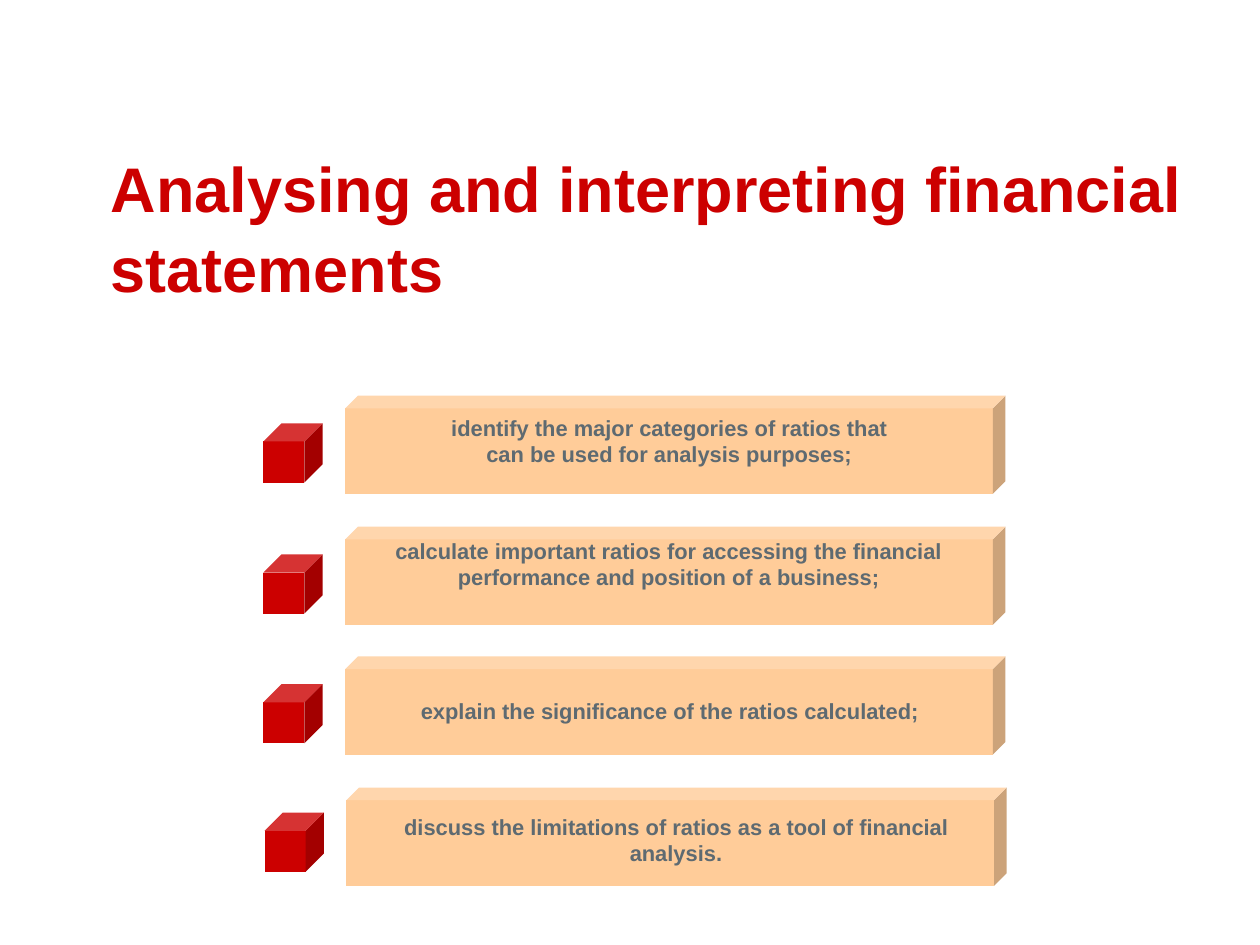
"""Build a slide listing four aims for analysing financial statements."""
from typing import NamedTuple

from pptx import Presentation
from pptx.dml.color import RGBColor
from pptx.enum.shapes import MSO_SHAPE
from pptx.enum.text import MSO_ANCHOR, PP_ALIGN
from pptx.util import Inches, Pt

RED, PEACH, GREY = "CC0000", "FFCC99", "5E6A71"


class Box(NamedTuple):
    left: float
    top: float
    width: float
    height: float

    def inches(self) -> list:
        return [Inches(side) for side in self]


class Aim(NamedTuple):
    text: str
    bar: Box
    cube: Box
    label: Box


def aim(text: str, left: float, top: float, cube: float, label: Box) -> Aim:
    return Aim(text, Box(left, top, 5.24, 0.78),
               Box(left - 0.65, cube, 0.47, 0.47), label)


AIMS = [
    aim("identify the major categories of ratios that can be used for analysis purposes;",
        2.74, 3.14, 3.36, Box(3.34, 3.24, 3.94, 0.73)),
    aim("calculate important ratios for accessing the financial performance "
        "and position of a business;",
        2.74, 4.18, 4.4, Box(2.74, 4.22, 5.13, 0.73)),
    aim("explain the significance of the ratios calculated;",
        2.74, 5.21, 5.43, Box(2.76, 5.49, 5.11, 0.52)),
    aim("discuss the limitations of ratios as a tool of financial analysis.",
        2.75, 6.25, 6.45, Box(2.85, 6.41, 5.03, 0.52)),
]


def paint(color, code: str) -> None:
    color.rgb = RGBColor.from_string(code)


def write(shape, text: str, *, size: float, color: str, align=PP_ALIGN.LEFT,
          anchor=MSO_ANCHOR.TOP, spacing: float = 1.0) -> None:
    frame = shape.text_frame
    frame.word_wrap = True
    frame.vertical_anchor = anchor
    line = frame.paragraphs[0]
    line.alignment = align
    line.line_spacing = spacing
    run = line.add_run()
    run.text = text
    run.font.name = "Arial"
    run.font.size = Pt(size)
    run.font.bold = True
    paint(run.font.color, color)


def draw_block(slide, box: Box, depth: float, color: str) -> None:
    block = slide.shapes.add_shape(MSO_SHAPE.CUBE, *box.inches())
    block.adjustments[0] = depth
    block.shadow.inherit = False
    block.fill.solid()
    paint(block.fill.fore_color, color)
    block.line.fill.background()


def draw_aim(slide, item: Aim) -> None:
    draw_block(slide, item.bar, 0.129, PEACH)
    draw_block(slide, item.cube, 0.307, RED)
    label = slide.shapes.add_textbox(*item.label.inches())
    write(label, item.text, size=12.5, color=GREY, align=PP_ALIGN.CENTER)


def main() -> None:
    deck = Presentation()
    deck.slide_width, deck.slide_height = Inches(10), Inches(7.5)
    slide = deck.slides.add_slide(deck.slide_layouts[5])
    title = slide.shapes.title
    title.left, title.top, title.width, title.height = Box(0.78, 1.38, 8.83, 1.09).inches()
    write(title, "Analysing and interpreting financial statements", size=36,
          color=RED, anchor=MSO_ANCHOR.BOTTOM, spacing=1.05)
    for item in AIMS:
        draw_aim(slide, item)
    deck.save("out.pptx")


if __name__ == "__main__":
    main()
